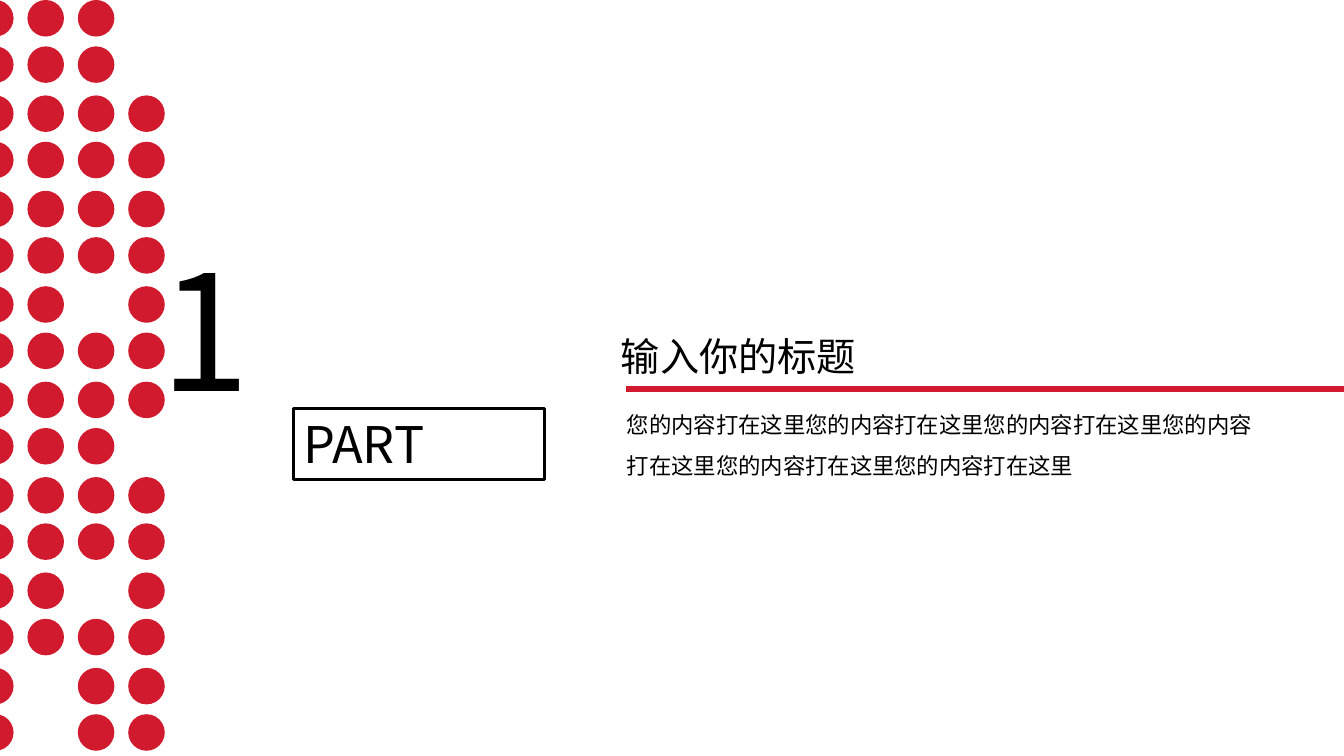
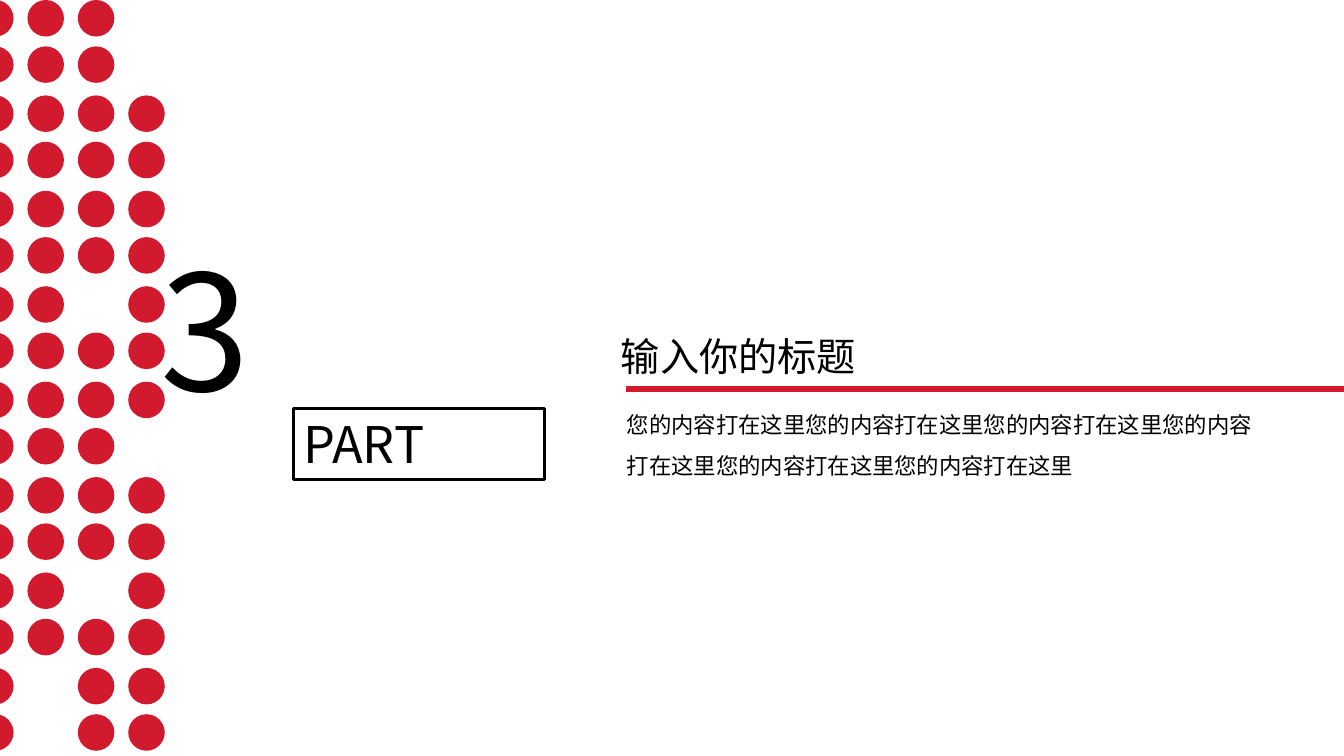
from lxml import etree
from pptx import Presentation
from pptx.dml.color import RGBColor
from pptx.enum import shapes, text
from pptx.oxml import ns
from pptx.util import Pt

COLORS = {"red": "D11A2E", "black": "000000"}
FONT = "Noto Sans CJK SC"
SLIDE_SIZE = (960, 540)

DOT_SIZE = 26.1
DOT_LEFT, DOT_STEP = -16.4, 36
ROW_PAIR_STEP, ROW_IN_PAIR_STEP = 68.15, 33.1
DOT_ROWS = (
    "●●●○", "●●●○",
    "●●●●", "●●●●",
    "●●●●", "●●●●",
    "●●○●", "●●●●",
    "●●●●", "●●●○",
    "●●●●", "●●●●",
    "●●○●", "●●●●",
    "●○●●", "●○●●",
)

PART_NUMBERS = ("1", "3")
TITLE = "输入你的标题"
BODY = "您的内容打在这里" * 6


def color(name):
    return RGBColor.from_string(COLORS[name])


def points(*values):
    return [Pt(value) for value in values]


def write(shape, content, size, insets=(7.2, 3.6), align=text.PP_ALIGN.LEFT,
          line_spacing=None, tracking=None):
    frame = shape.text_frame
    frame.word_wrap = True
    frame.auto_size = text.MSO_AUTO_SIZE.SHAPE_TO_FIT_TEXT
    frame.vertical_anchor = text.MSO_ANCHOR.TOP
    frame.margin_left = frame.margin_right = Pt(insets[0])
    frame.margin_top = frame.margin_bottom = Pt(insets[1])
    paragraph = frame.paragraphs[0]
    paragraph.text = content
    paragraph.alignment = align
    if line_spacing:
        paragraph.line_spacing = line_spacing
    font = paragraph.font
    font.name, font.size = FONT, Pt(size)
    font.color.rgb = color("black")
    properties = paragraph._p.pPr.find(ns.qn("a:defRPr"))
    east_asian = etree.SubElement(properties, ns.qn("a:ea"))
    east_asian.set("typeface", FONT)
    if tracking:
        properties.set("spc", str(tracking * 100))


def add_text(slide, box, content, size, **style):
    write(slide.shapes.add_textbox(*points(*box)), content, size, **style)


def add_dot(slide, left, top):
    dot = slide.shapes.add_shape(
        shapes.MSO_SHAPE.OVAL, *points(left, top, DOT_SIZE, DOT_SIZE))
    dot.shadow.inherit = False
    dot.fill.solid()
    dot.fill.fore_color.rgb = color("red")
    dot.line.fill.background()


def add_dot_pattern(slide):
    for row, marks in enumerate(DOT_ROWS):
        pair, within = divmod(row, 2)
        top = pair * ROW_PAIR_STEP + within * ROW_IN_PAIR_STEP
        for column, mark in enumerate(marks):
            if mark == "●":
                add_dot(slide, DOT_LEFT + column * DOT_STEP, top)


def add_part_label(slide):
    label = slide.shapes.add_shape(
        shapes.MSO_SHAPE.RECTANGLE, *points(209.5, 291.6, 179.3, 51.1))
    label.shadow.inherit = False
    label.fill.background()
    label.line.color.rgb = color("black")
    label.line.width = Pt(2)
    write(label, "PART", 36, align=text.PP_ALIGN.JUSTIFY)


def add_title_rule(slide):
    rule = slide.shapes.add_connector(
        shapes.MSO_CONNECTOR.STRAIGHT, *points(447.1, 278, 1024.6, 278))
    rule.line.color.rgb = color("red")
    rule.line.width = Pt(4.5)
    etree.SubElement(rule._element.spPr, ns.qn("a:effectLst"))


def add_section_slide(deck, number):
    slide = deck.slides.add_slide(deck.slide_layouts[6])
    add_dot_pattern(slide)
    add_text(slide, (107.3, 161.3, 384.5, 146.9), number, 115,
             align=text.PP_ALIGN.JUSTIFY, tracking=3)
    add_part_label(slide)
    add_text(slide, (439.2, 235.4, 255.6, 38.2), TITLE, 28, insets=(4.3, 2.2))
    add_title_rule(slide)
    add_text(slide, (442.8, 281.5, 457.2, 60.5), BODY, 16,
             insets=(5, 2.9), line_spacing=1.5)


def main():
    deck = Presentation()
    deck.slide_width, deck.slide_height = points(*SLIDE_SIZE)
    for number in PART_NUMBERS:
        add_section_slide(deck, number)
    deck.save("out.pptx")


if __name__ == "__main__":
    main()
